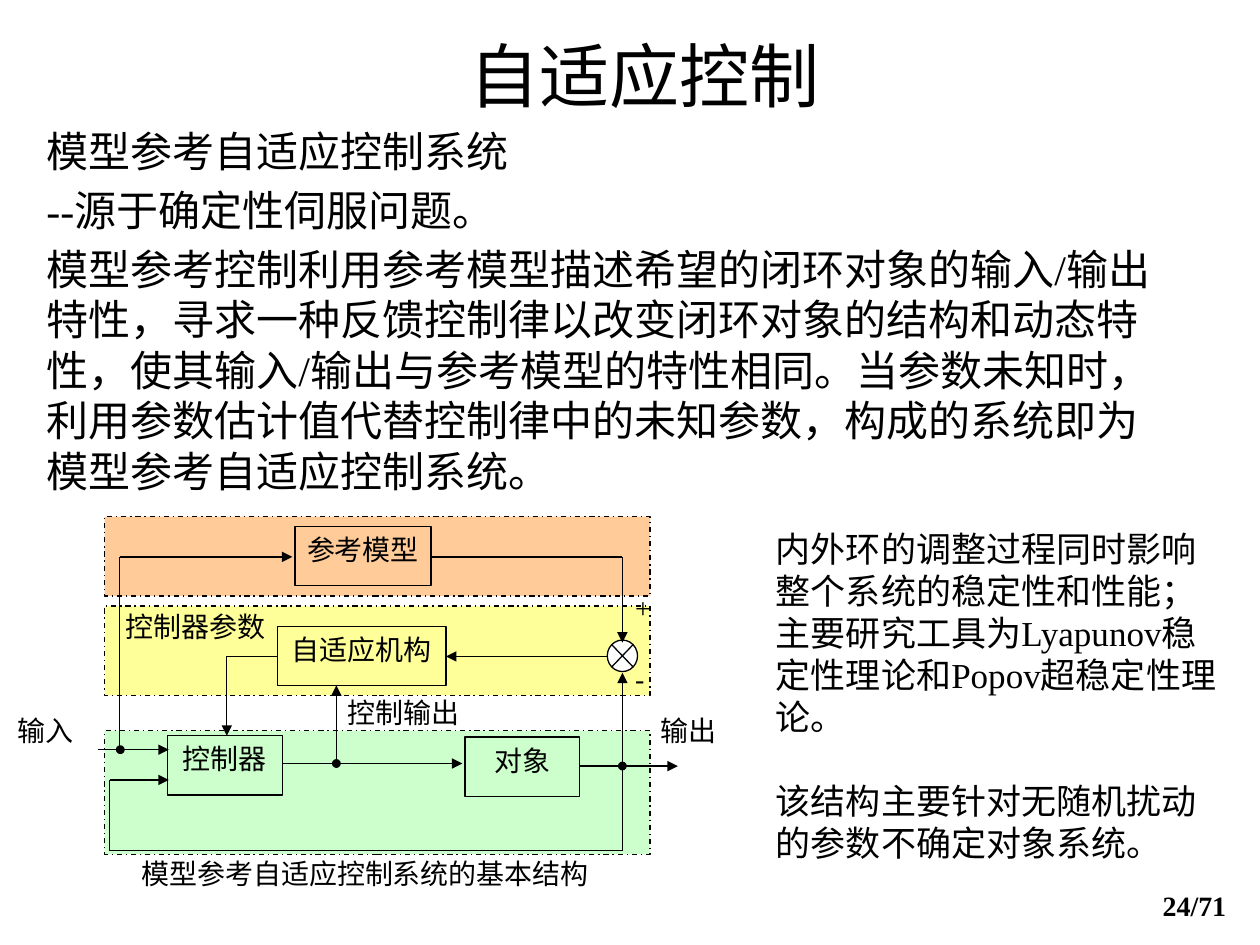
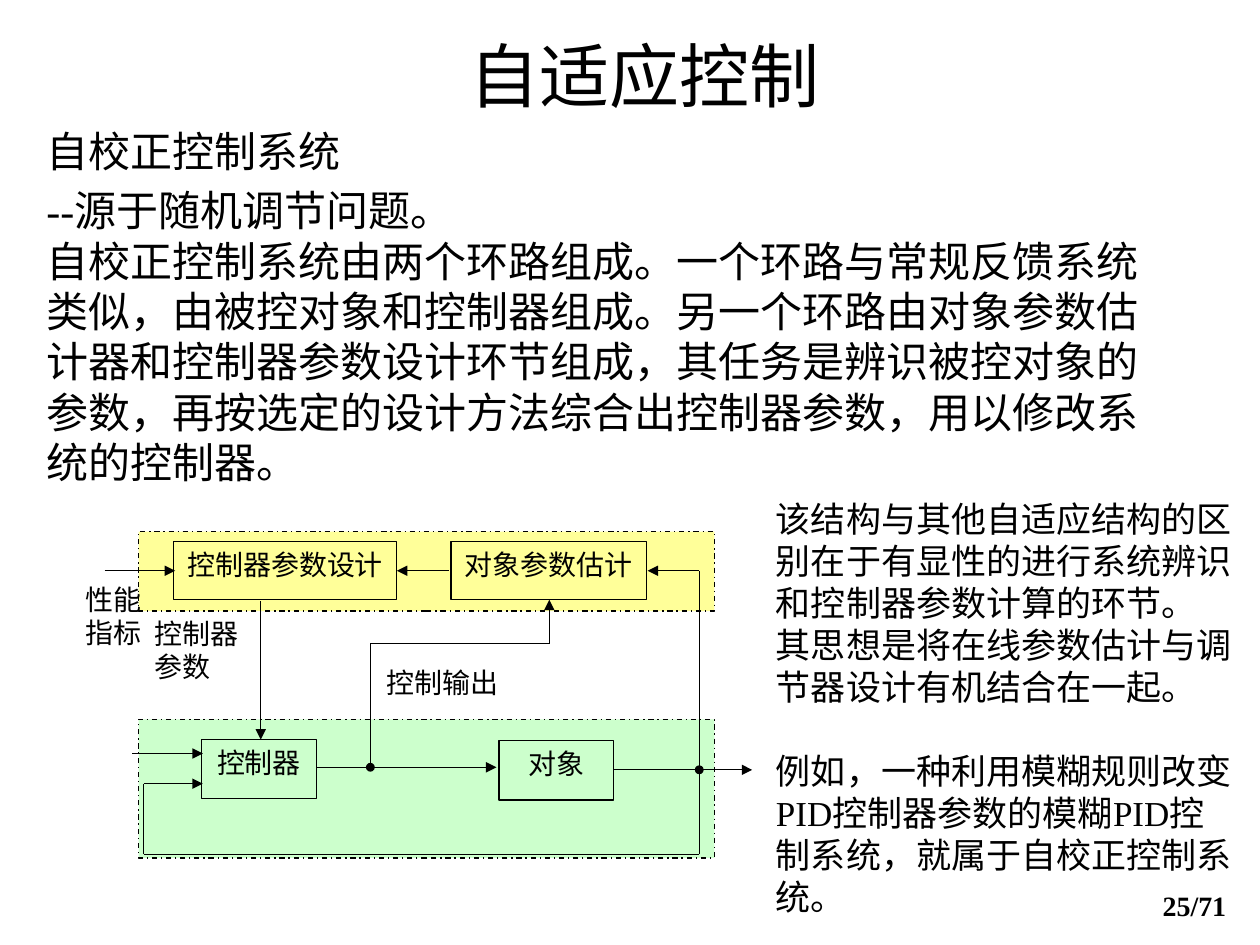
from dataclasses import dataclass
from itertools import pairwise

from pptx import Presentation
from pptx.dml.color import RGBColor
from pptx.enum.dml import MSO_LINE_DASH_STYLE as Dash
from pptx.enum.shapes import MSO_CONNECTOR as Conn, MSO_SHAPE as Shape
from pptx.enum.text import MSO_ANCHOR as Anchor, PP_ALIGN as Align
from pptx.oxml.xmlchemy import OxmlElement
from pptx.util import Inches, Pt

CELL = Inches(0.1)
COLS, ROWS = 100, 75


@dataclass(frozen=True)
class Theme:
    ink: str = "000000"
    paper: str = "FFFFFF"
    model: str = "FFCC99"
    adapt: str = "FFFF99"
    loop: str = "CCFFCC"
    latin: str = "Times New Roman"
    cjk: str = "Noto Sans CJK SC"
    title: float = 40
    body: float = 24
    note: float = 20
    label: float = 16
    line: float = 0.75
    body_gap: float = 4.8
    note_gap: float = 24


T = Theme()


@dataclass(frozen=True)
class Box:
    x: float
    y: float
    w: float = 0
    h: float = 0

    def sub(self, x, y, w=0, h=0):
        return Box(self.x + x, self.y + y, w, h)

    def emu(self):
        return [round(v * CELL) for v in (self.x, self.y, self.w, self.h)]


TITLE = Box(4.3, 2.8, 93.7, 6.3)
BODY = Box(2.7, 9.5, 91.7, 56.7)
PAGE = Box(77.5, 70, 20.8, 3.3)


def write(shape, paras, size, align=Align.LEFT, inset=(1, 0.5), bold=False):
    tf = shape.text_frame
    tf.word_wrap = True
    tf.margin_left = tf.margin_right = round(inset[0] * CELL)
    tf.margin_top = tf.margin_bottom = round(inset[1] * CELL)
    for i, (text, before) in enumerate(paras):
        p = tf.add_paragraph() if i else tf.paragraphs[0]
        p.text = text
        p.alignment = align
        p.space_before = Pt(before)
        for r in p.runs:
            r.font.size = Pt(size)
            r.font.bold = bold
            r.font.color.rgb = RGBColor.from_string(T.ink)
            r.font.name = T.latin
            ea = OxmlElement("a:ea")
            ea.set("typeface", T.cjk)
            r.font._element.find("{*}latin").addnext(ea)
    return tf


def text(s, box, paras, size, **style):
    return write(s.shapes.add_textbox(*box.emu()), paras, size, **style)


def label(s, box, *lines, align=Align.JUSTIFY):
    text(s, box, [(line, 0) for line in lines], T.label, align=align, inset=(0.2, 0.1))


def outline(line):
    line.color.rgb = RGBColor.from_string(T.ink)
    line.width = Pt(T.line)


def draw(s, kind, box, fill=None):
    sp = s.shapes.add_shape(kind, *box.emu())
    sp.shadow.inherit = False
    if fill:
        sp.fill.solid()
        sp.fill.fore_color.rgb = RGBColor.from_string(fill)
    else:
        sp.fill.background()
    outline(sp.line)
    return sp


def band(s, box, fill):
    draw(s, Shape.RECTANGLE, box, fill).line.dash_style = Dash.DASH_DOT


def block(s, box, name):
    sp = draw(s, Shape.RECTANGLE, box)
    tf = write(sp, [(name, 0)], T.label, align=Align.CENTER, inset=(0.6, 0.5))
    tf.vertical_anchor = Anchor.TOP


def dot(s, box, x, y, size=0.6):
    draw(s, Shape.OVAL, box.sub(x - size / 2, y - size / 2, size, size), T.ink)


def route(s, box, *points, arrow=True):
    ends = [box.sub(*point).emu()[:2] for point in points]
    for start, end in pairwise(ends):
        cx = s.shapes.add_connector(Conn.STRAIGHT, *start, *end)
        outline(cx.line)
        cx._element.spPr.append(OxmlElement("a:effectLst"))
    if arrow:
        tail = OxmlElement("a:tailEnd")
        tail.set("type", "triangle")
        cx.line._get_or_add_ln().append(tail)


def control_loop(s, box, tap, out):
    block(s, box.sub(0, 0, 9.1, 4.7), "控制器")
    block(s, box.sub(23.6, 0.1, 9.1, 4.7), "对象")
    route(s, box, (-5.5, 1.1), (0.1, 1.1))
    route(s, box, (9.1, 2.2), (23.4, 2.2))
    route(s, box, (32.7, 2.4), (out, 2.4))
    route(s, box, (tap, 2.4), (tap, 9.1), (-4.6, 9.1), (-4.6, 3.5), (0.1, 3.5))
    dot(s, box, 13.4, 2.2)
    dot(s, box, tap, 2.4)


def reference_diagram(s, box):
    band(s, box.sub(0, 7.1, box.w, 7.1), T.adapt)
    band(s, box.sub(0, 0, box.w, 6.3), T.model)
    band(s, box.sub(0, 17, box.w, 9.8), T.loop)
    control_loop(s, box.sub(5, 17.4), tap=36.1, out=40.5)
    block(s, box.sub(15.1, 0.8, 10.8, 4.7), "参考模型")
    block(s, box.sub(13.7, 8.7, 13.4, 4.7), "自适应机构")
    draw(s, Shape.FLOWCHART_SUMMING_JUNCTION, box.sub(39.9, 9.8, 2.4, 2.5), T.paper)
    route(s, box, (1.2, 18.5), (1.2, 3.2), (14.9, 3.2))
    route(s, box, (25.8, 3.2), (41.1, 3.2), (41.1, 10))
    route(s, box, (41.1, 19.8), (41.1, 12.4))
    route(s, box, (39.9, 11.1), (27.1, 11.1))
    route(s, box, (13.7, 11.1), (9.7, 11.1), (9.7, 17.4))
    route(s, box, (18.4, 19.6), (18.4, 13.4))
    dot(s, box, 1.25, 18.5)
    label(s, box.sub(-7.1, 15.5, 7, 4.1), "输入")
    label(s, box.sub(43.9, 15.5, 6.1, 4.1), "输出")
    label(s, box.sub(41.9, 5.8, 3, 4.1), "+")
    label(s, box.sub(41.9, 11.4, 3, 4.1), "-")
    label(s, box.sub(1.5, 7.3, 13.4, 4.1), "控制器参数")
    label(s, box.sub(19.1, 14.1, 10.9, 4.1), "控制输出")
    label(s, box.sub(1.7, 26.9, 38, 2.9), "模型参考自适应控制系统的基本结构", align=Align.CENTER)


def self_tuning_diagram(s, box):
    band(s, box.sub(0, 0, box.w, 6.3), T.adapt)
    band(s, box.sub(0, 14.9, box.w, 11), T.loop)
    control_loop(s, box.sub(5, 16.5), tap=39.5, out=43.7)
    block(s, box.sub(2.8, 0.8, 17.7, 4.6), "控制器参数设计")
    block(s, box.sub(24.8, 0.8, 15.5, 4.6), "对象参数估计")
    route(s, box, (-2.7, 3.1), (2.9, 3.1))
    route(s, box, (24.6, 3.1), (20.5, 3.1))
    route(s, box, (44.5, 18.9), (44.5, 3.1), (40.4, 3.1))
    route(s, box, (9.7, 5.5), (9.7, 16.5))
    route(s, box, (18.4, 18.7), (18.4, 8.9), (32.6, 8.9), (32.6, 5.4))
    label(s, box.sub(1.1, 6.6, 8.2, 6.8), "控制器", "参数")
    label(s, box.sub(19.5, 10.5, 10.9, 4), "控制输出")
    label(s, box.sub(-4.4, 3.9, 6, 4), "性能", "指标")


def topic_slide(prs, page, body, note_box, notes, diagram, diagram_box):
    s = prs.slides.add_slide(prs.slide_layouts[6])
    title = text(s, TITLE, [("自适应控制", 0)], T.title, align=Align.CENTER)
    title.vertical_anchor = Anchor.MIDDLE
    text(s, BODY, body, T.body)
    diagram(s, diagram_box)
    text(s, note_box, notes, T.note)
    text(s, PAGE, [(f"{page}/71", 0)], T.label, align=Align.RIGHT, bold=True)


def main():
    prs = Presentation()
    prs.slide_width, prs.slide_height = COLS * CELL, ROWS * CELL
    topic_slide(
        prs, 24,
        [("模型参考自适应控制系统", 0),
         ("--源于确定性伺服问题。", T.body_gap),
         ("模型参考控制利用参考模型描述希望的闭环对象的输入/输出特性，寻求一种反馈控制律以改变"
          "闭环对象的结构和动态特性，使其输入/输出与参考模型的特性相同。当参数未知时，利用参数"
          "估计值代替控制律中的未知参数，构成的系统即为模型参考自适应控制系统。", T.body_gap)],
        Box(60.6, 41.4, 37.3, 27.9),
        [("内外环的调整过程同时影响整个系统的稳定性和性能；主要研究工具为Lyapunov稳定性理论"
          "和Popov超稳定性理论。", 0),
         ("该结构主要针对无随机扰动的参数不确定对象系统。", T.note_gap)],
        reference_diagram, Box(8.3, 41, 43.3, 26.8))
    topic_slide(
        prs, 25,
        [("自校正控制系统", 0),
         ("--源于随机调节问题。", T.body_gap),
         ("自校正控制系统由两个环路组成。一个环路与常规反馈系统类似，由被控对象和控制器组成。"
          "另一个环路由对象参数估计器和控制器参数设计环节组成，其任务是辨识被控对象的参数，"
          "再按选定的设计方法综合出控制器参数，用以修改系统的控制器。", 0)],
        Box(60.6, 39, 38.5, 34.7),
        [("该结构与其他自适应结构的区别在于有显性的进行系统辨识和控制器参数计算的环节。", 0),
         ("其思想是将在线参数估计与调节器设计有机结合在一起。", 0),
         ("例如，一种利用模糊规则改变PID控制器参数的模糊PID控制系统，就属于自校正控制系统。",
          T.note_gap)],
        self_tuning_diagram, Box(11, 42.2, 45.7, 25.9))
    prs.save("out.pptx")


if __name__ == "__main__":
    main()
